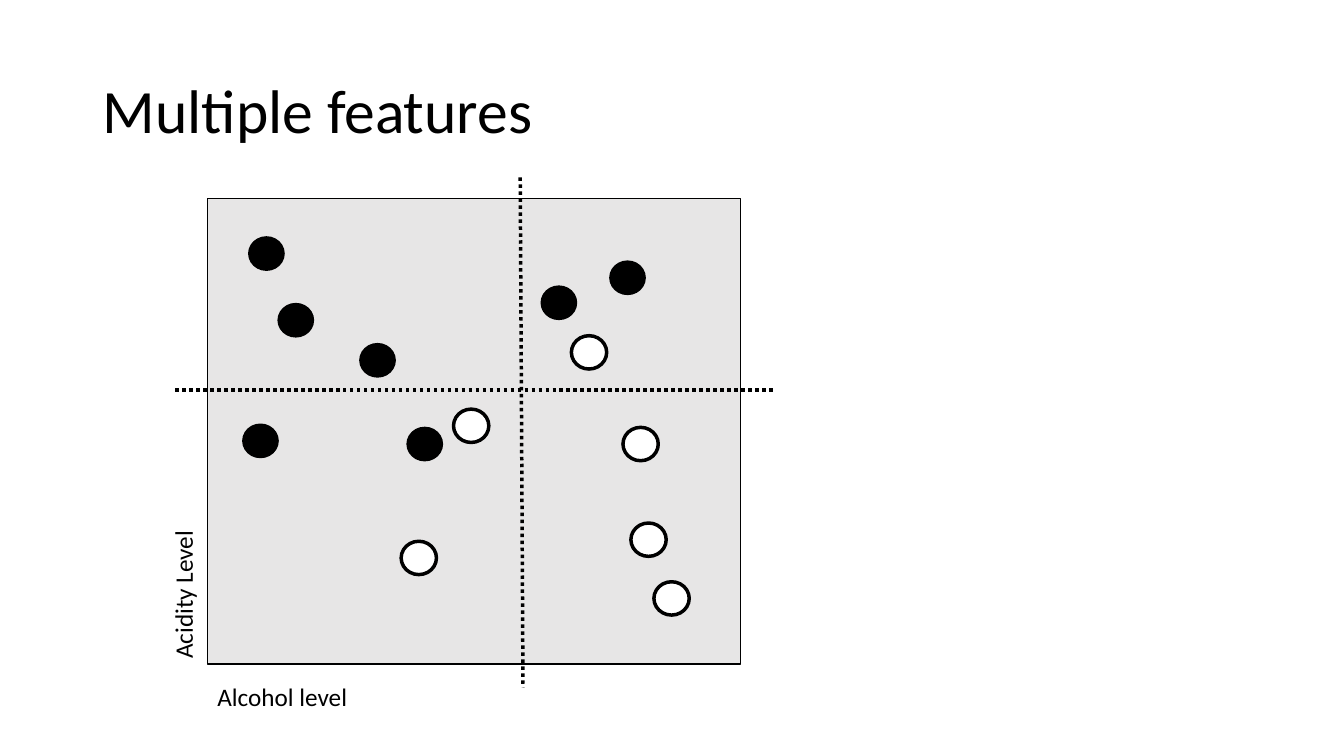
from pptx import Presentation
from pptx.dml.color import RGBColor
from pptx.enum import dml, shapes, text
from pptx.oxml import parse_xml
from pptx.oxml.ns import nsdecls
from pptx.util import Cm, Pt

BLACK = RGBColor(0, 0, 0)
WHITE = RGBColor(255, 255, 255)
GREY = RGBColor(0xE7, 0xE6, 0xE6)

TITLE = "Multiple features"
X_NAME, Y_NAME = "Alcohol level", "Acidity Level"

# All lengths are in centimetres.
PLOT = (5.23, 5, 13.44, 11.73)
DOT = (0.89, 0.84)
FULL = [(6.27, 5.97), (7.01, 7.65), (9.07, 8.66), (6.12, 10.69),
        (10.26, 10.77), (15.37, 6.58), (13.64, 7.21)]
OPEN = [(11.43, 10.31), (15.7, 10.77), (14.4, 8.46), (10.11, 13.64),
        (15.9, 13.18), (16.48, 14.66)]
SPLITS = [(13.11, 4.47, 13.18, 17.32), (4.42, 9.83, 19.48, 9.83)]


def add_shape(kind, box, fill, width):
    """Add a filled shape with a black outline."""
    shape = slide.shapes.add_shape(kind, *map(Cm, box))
    shape.shadow.inherit = False
    shape.fill.solid()
    shape.fill.fore_color.rgb = fill
    shape.line.color.rgb = BLACK
    shape.line.width = Pt(width)


def add_split(ends):
    """Add a dotted line that splits the plot."""
    line = slide.shapes.add_connector(shapes.MSO_CONNECTOR.STRAIGHT,
                                      *map(Cm, ends))
    line.line.color.rgb = BLACK
    line.line.width = Pt(2.5)
    line.line.dash_style = dml.MSO_LINE.ROUND_DOT
    line._element.spPr.append(parse_xml(f"<a:effectLst {nsdecls('a')}/>"))


def add_text(words, box, size=18, wrap=False, turn=0, space=1.0,
             anchor=text.MSO_ANCHOR.TOP):
    """Add a one-line text box."""
    label = slide.shapes.add_textbox(*map(Cm, box))
    label.rotation = turn
    frame = label.text_frame
    frame.word_wrap = wrap
    frame.vertical_anchor = anchor
    para = frame.paragraphs[0]
    para.line_spacing = space
    run = para.add_run()
    run.text = words
    run.font.name = "Calibri"
    run.font.size = Pt(size)
    run.font.color.rgb = BLACK


deck = Presentation()
deck.slide_width, deck.slide_height = Cm(33.87), Cm(19.05)
slide = deck.slides.add_slide(deck.slide_layouts[6])

add_text(TITLE, (2.34, 1.02, 29.21, 3.68), size=44, wrap=True, space=0.9,
         anchor=text.MSO_ANCHOR.MIDDLE)
add_shape(shapes.MSO_SHAPE.RECTANGLE, PLOT, GREY, 1)
for ends in SPLITS:
    add_split(ends)
add_text(X_NAME, (5.23, 17.04, 3.81, 1.02))
add_text(Y_NAME, (2.72, 14.45, 3.78, 1.02), turn=270)
for spots, fill, width in ((FULL, BLACK, 1), (OPEN, WHITE, 2.5)):
    for spot in spots:
        add_shape(shapes.MSO_SHAPE.OVAL, spot + DOT, fill, width)

deck.save("out.pptx")
